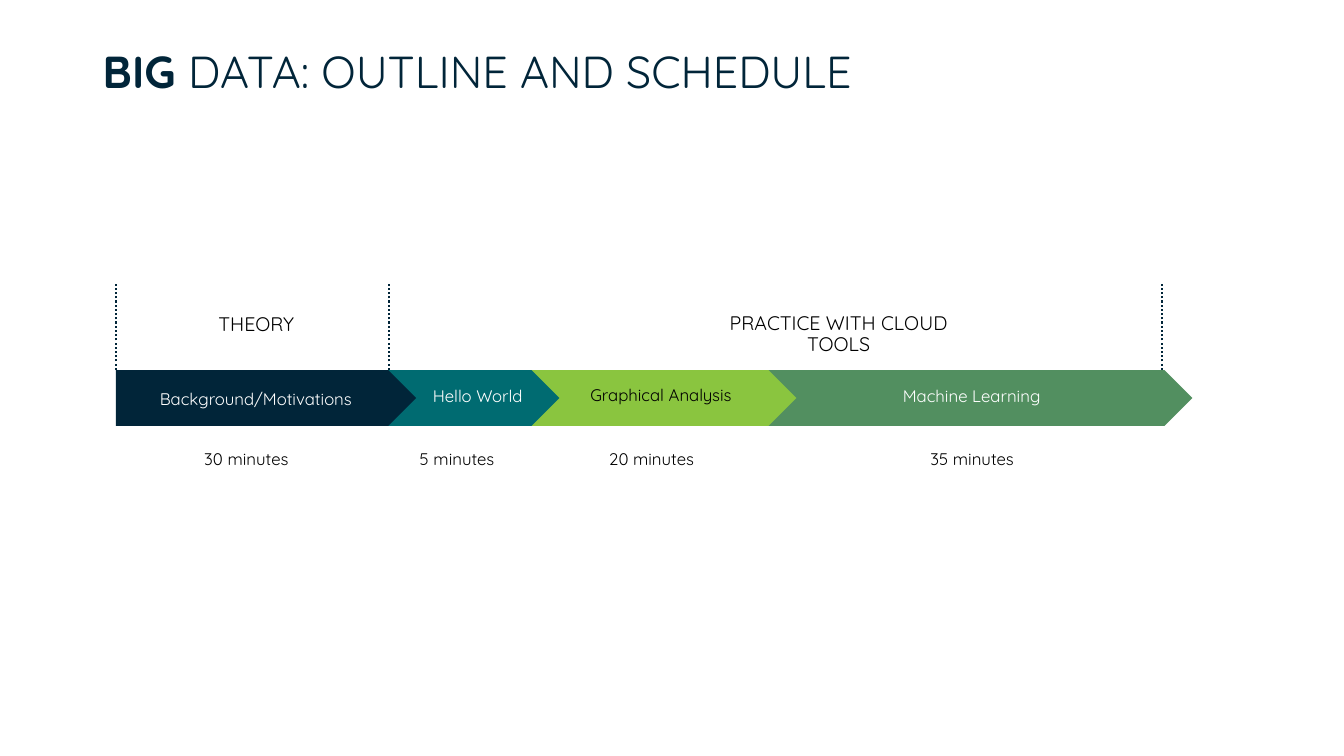
from lxml import etree
from pptx import Presentation
from pptx import util as u
from pptx.dml.color import RGBColor
from pptx.enum import dml, shapes, text
from pptx.oxml.ns import qn

NAVY = "012539"

deck = Presentation()
deck.slide_width, deck.slide_height = u.Cm(33.87), u.Cm(19.05)
slide = deck.slides.add_slide(deck.slide_layouts[6])


def paint(color):
    return RGBColor.from_string(color)


def write(words, left, top, width, height, size=12, color="000000",
          align="CENTER", anchor="TOP", space=0.9, bold=0):
    box = slide.shapes.add_textbox(u.Cm(left), u.Cm(top), u.Cm(width), u.Cm(height))
    frame = box.text_frame
    frame.word_wrap = True
    frame.vertical_anchor = text.MSO_ANCHOR[anchor]
    para = frame.paragraphs[0]
    para.alignment = text.PP_ALIGN[align]
    para.line_spacing = space
    for part, heavy in ((words[:bold], True), (words[bold:], False)):
        if part:
            run = para.add_run()
            run.text = part
            run.font.name = "Quicksand"
            run.font.size = u.Pt(size)
            run.font.bold = heavy
            run.font.color.rgb = paint(color)


write("BIG DATA: OUTLINE AND SCHEDULE", 2.34, 1.14, 29.21, 1.7,
      size=32, color=NAVY, align="LEFT", bold=4)

for x in (2.92, 9.8, 29.29):
    line = slide.shapes.add_connector(
        shapes.MSO_CONNECTOR.STRAIGHT, u.Cm(x), u.Cm(9.32), u.Cm(x), u.Cm(7.16))
    line.line.color.rgb = paint(NAVY)
    line.line.width = u.Pt(1.5)
    line.line.dash_style = dml.MSO_LINE.ROUND_DOT
    etree.SubElement(line._element.spPr, qn("a:effectLst"))

steps = [
    ("Machine Learning", "35 minutes", 18.59, 11.46, "528F60", "FFFFFF", 21.67, 9.47, 21.44),
    ("Graphical Analysis", "20 minutes", 12.5, 7.57, "8AC53F", "000000", 13.84, 9.45, 13.36),
    ("Hello World", "5 minutes", 6.53, 7.57, "006B71", "FFFFFF", 9.22, 9.47, 8.46),
    ("Background/Motivations", "30 minutes", 2.92, 7.57, NAVY, "FFFFFF", 3.63, 9.53, 3.15),
]
for name, time, left, width, fill, ink, x, y, below in steps:
    arrow = slide.shapes.add_shape(
        shapes.MSO_SHAPE.PENTAGON, u.Cm(left), u.Cm(9.33), u.Cm(width), u.Cm(1.4))
    arrow.shadow.inherit = False
    arrow.fill.solid()
    arrow.fill.fore_color.rgb = paint(fill)
    arrow.line.fill.background()
    write(time, below, 11.23, 6.12, 0.91)

for name, time, left, width, fill, ink, x, y, below in steps:
    write(name, x, y, 5.64, 1.02, color=ink, anchor="MIDDLE", space=1.0)

write("THEORY", 3.4, 7.8, 6.12, 0.91, size=14)
write("PRACTICE WITH CLOUD TOOLS", 17.35, 7.77, 7.57, 0.97, size=14)

deck.save("out.pptx")
